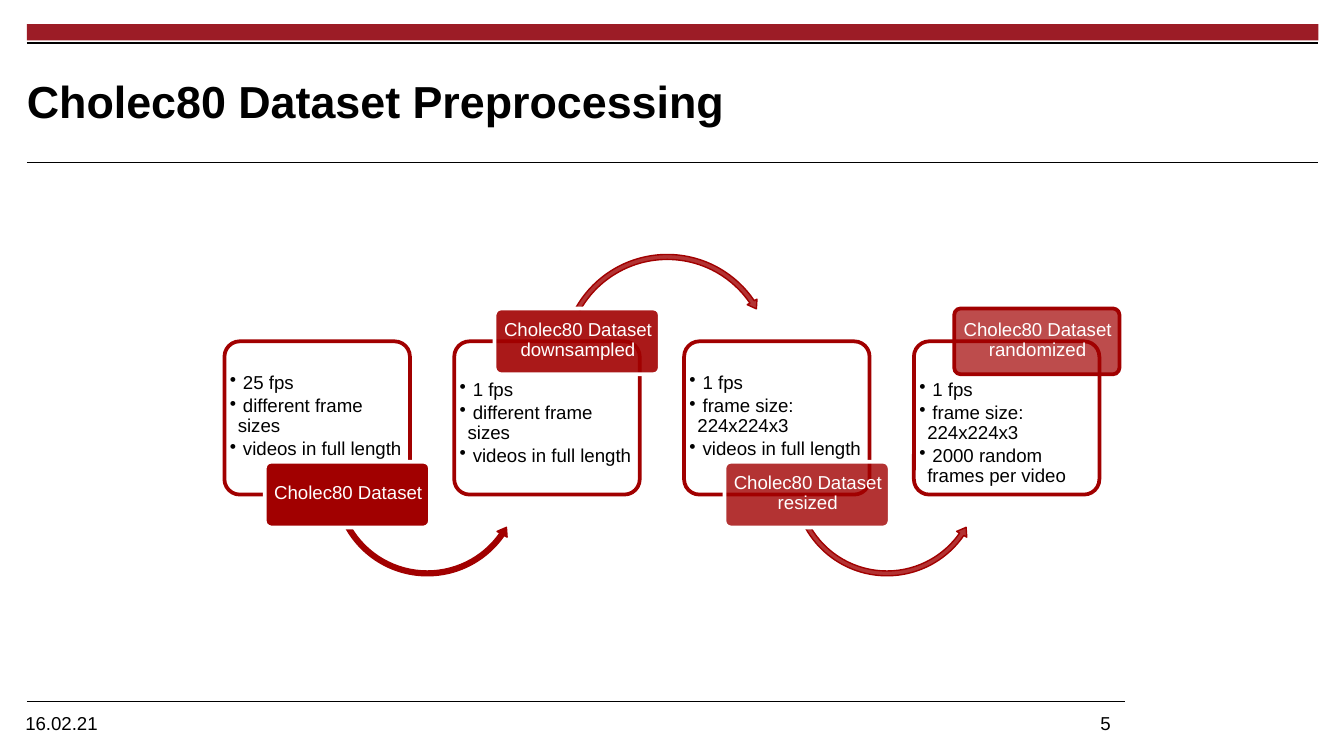
from lxml import etree
from pptx import Presentation
from pptx.dml.color import RGBColor
from pptx.enum import shapes, text
from pptx.oxml.ns import qn
from pptx.util import Inches, Pt

BLACK = RGBColor(0x00, 0x00, 0x00)
WHITE = RGBColor(0xFF, 0xFF, 0xFF)
BAR_RED = RGBColor(0x9C, 0x1C, 0x26)
RED = RGBColor(0xA1, 0x00, 0x00)
FONT = "Arial"
SHAPE = shapes.MSO_SHAPE

CARD_W, CARD_H, CARD_PITCH = 1.38, 1.14, 1.71
LABEL_W, LABEL_H, LABEL_DX = 1.23, 0.49, 0.3

# label, bullets, label opacity, label outline, arrow opacity (None: no arrow)
STAGES = [
    ("Cholec80 Dataset",
     ["25 fps", "different frame sizes", "videos in full length"],
     100, WHITE, 100),
    ("Cholec80 Dataset downsampled",
     ["1 fps", "different frame sizes", "videos in full length"],
     90, WHITE, 80),
    ("Cholec80 Dataset resized",
     ["1 fps", "frame size: 224x224x3", "videos in full length"],
     80, WHITE, 80),
    ("Cholec80 Dataset randomized",
     ["1 fps", "frame size: 224x224x3", "2000 random frames per video"],
     70, RED, None),
]


def add_shape(s, kind, x, y, w, h, fill, opacity=100, line=None, weight=2, adj=()):
    sp = s.shapes.add_shape(kind, Inches(x), Inches(y), Inches(w), Inches(h))
    sp.shadow.inherit = False
    for i, value in enumerate(adj):
        sp.adjustments[i] = value
    sp.fill.solid()
    sp.fill.fore_color.rgb = fill
    if opacity < 100:
        color = sp._element.spPr.find(qn("a:solidFill"))[0]
        etree.SubElement(color, qn("a:alpha"), val=str(opacity * 1000))
    if line is None:
        sp.line.fill.background()
    else:
        sp.line.color.rgb = line
        sp.line.width = Pt(weight)
    return sp


def add_rule(s, x1, x2, y, weight):
    line = s.shapes.add_connector(shapes.MSO_CONNECTOR.STRAIGHT,
                                  Inches(x1), Inches(y), Inches(x2), Inches(y))
    line.line.color.rgb = BLACK
    line.line.width = Pt(weight)
    etree.SubElement(line._element.spPr, qn("a:effectLst"))


def set_text(sp, lines, size=10, color=BLACK, bold=False, align=text.PP_ALIGN.LEFT,
             anchor=text.MSO_ANCHOR.TOP, insets=(0, 0, 0, 0), spacing=None, after=0,
             bullet=False):
    """Fill a shape with one paragraph per line; insets are left, top, right, bottom."""
    tf = sp.text_frame
    tf.word_wrap = True
    tf.vertical_anchor = anchor
    tf.margin_left, tf.margin_top, tf.margin_right, tf.margin_bottom = map(Inches, insets)
    for i, line in enumerate(lines):
        p = tf.paragraphs[0] if i == 0 else tf.add_paragraph()
        p.alignment = align
        p.space_after = Pt(after)
        if spacing:
            p.line_spacing = spacing
        r = p.add_run()
        r.text = f" {line}" if bullet else line
        r.font.name, r.font.size = FONT, Pt(size)
        r.font.bold, r.font.color.rgb = bold, color
        if bullet:
            pPr = p._p.get_or_add_pPr()
            pPr.set("marL", str(Inches(0.06)))
            pPr.set("indent", str(-Inches(0.06)))
            etree.SubElement(pPr, qn("a:buChar"), char="•")
    return tf


def add_textbox(s, x, y, w, h, lines, **fmt):
    box = s.shapes.add_textbox(Inches(x), Inches(y), Inches(w), Inches(h))
    return set_text(box, lines, **fmt)


def add_header(s, x, y, w, title):
    add_shape(s, SHAPE.RECTANGLE, x, y, w, 0.12, BAR_RED)
    add_rule(s, x, x + w, y + 0.14, 1.2)
    add_textbox(s, x, y + 0.22, 7.46, 0.69, [title], size=24, bold=True,
                anchor=text.MSO_ANCHOR.MIDDLE)
    add_rule(s, x, x + w, y + 1.03, 0.6)


def add_footer(s, x, y, w, date, number):
    add_rule(s, x, x + w, y, 0.6)
    tf = add_textbox(s, x - 0.11, y + 0.03, w + 0.2, 0.19, [f"{date}\t{number}"],
                     insets=(0.1, 0.05, 0.1, 0.05))
    tabs = etree.SubElement(tf.paragraphs[0]._p.get_or_add_pPr(), qn("a:tabLst"))
    etree.SubElement(tabs, qn("a:tab"), pos=str(Inches(8)), algn="l")


def add_stage(s, x, y, stage, label_on_top):
    """Draw a card, the arrow to the next card and the label over the card's edge."""
    label, bullets, opacity, outline, arrow_opacity = stage
    add_shape(s, SHAPE.ROUNDED_RECTANGLE, x, y, CARD_W, CARD_H, WHITE, 90, RED, adj=[0.1])
    text_dy, top = (0.27, 0.02) if label_on_top else (0.03, 0.21)
    add_textbox(s, x + 0.02, y + text_dy, 1.33, 0.84, bullets,
                insets=(0.02, top, 0.02, 0.02), spacing=0.9, after=1.5, bullet=True)

    if arrow_opacity is not None:
        if label_on_top:
            kind, dx, dy, size = SHAPE.CIRCULAR_ARROW, 0.78, -0.67, 1.61
            adj = [0.023, 2.738, 195.507, 125.755, 0.026]
        else:
            kind, dx, dy, size = SHAPE.LEFT_CIRCULAR_ARROW, 0.79, 0.33, 1.44
            adj = [0.025, 3.094, 20.849, 90.245, 0.03]
        add_shape(s, kind, x + dx, y + dy, size, size, RED, arrow_opacity, RED, 0.75, adj)

    label_x = x + LABEL_DX
    label_y = y - LABEL_H / 2 if label_on_top else y + CARD_H - LABEL_H / 2
    add_shape(s, SHAPE.ROUNDED_RECTANGLE, label_x, label_y, LABEL_W, LABEL_H,
              RED, opacity, outline, adj=[0.1])
    add_textbox(s, label_x + 0.02, label_y + 0.01, 1.2, 0.46, [label], color=WHITE,
                align=text.PP_ALIGN.CENTER, anchor=text.MSO_ANCHOR.MIDDLE,
                insets=(0.02, 0.01, 0.02, 0.01), spacing=0.9)


def add_process(s, x, y):
    for i, stage in enumerate(STAGES):
        add_stage(s, x + i * CARD_PITCH, y, stage, label_on_top=i % 2 == 1)


def main():
    prs = Presentation()
    prs.slide_width = Inches(10)
    prs.slide_height = prs.slide_width * 9 // 16
    s = prs.slides.add_slide(prs.slide_layouts[6])
    add_header(s, 0.2, 0.18, 9.61, "Cholec80 Dataset Preprocessing")
    add_footer(s, 0.2, 5.22, 8.17, "16.02.21", 5)
    add_process(s, 1.67, 2.54)
    prs.save("out.pptx")


if __name__ == "__main__":
    main()
